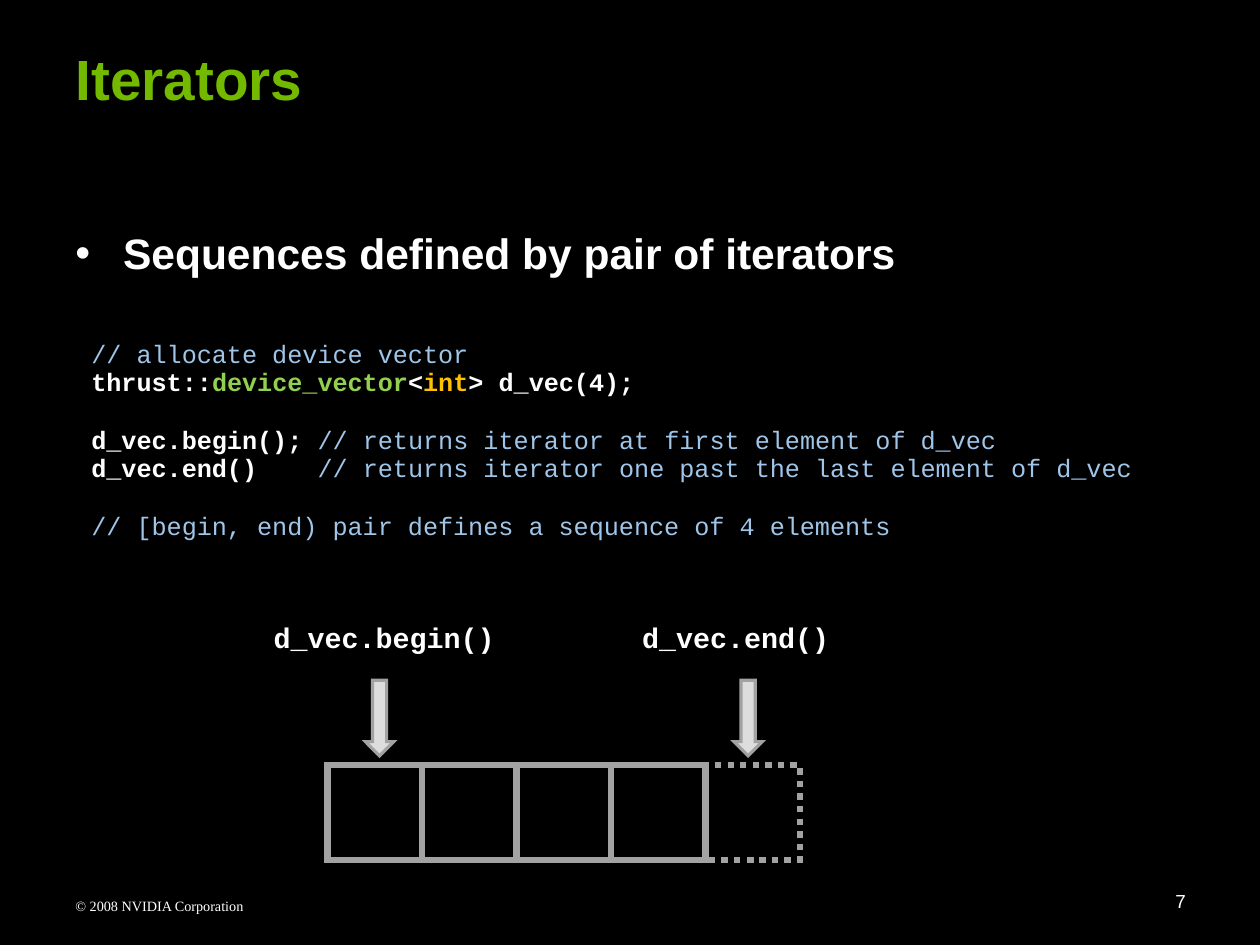
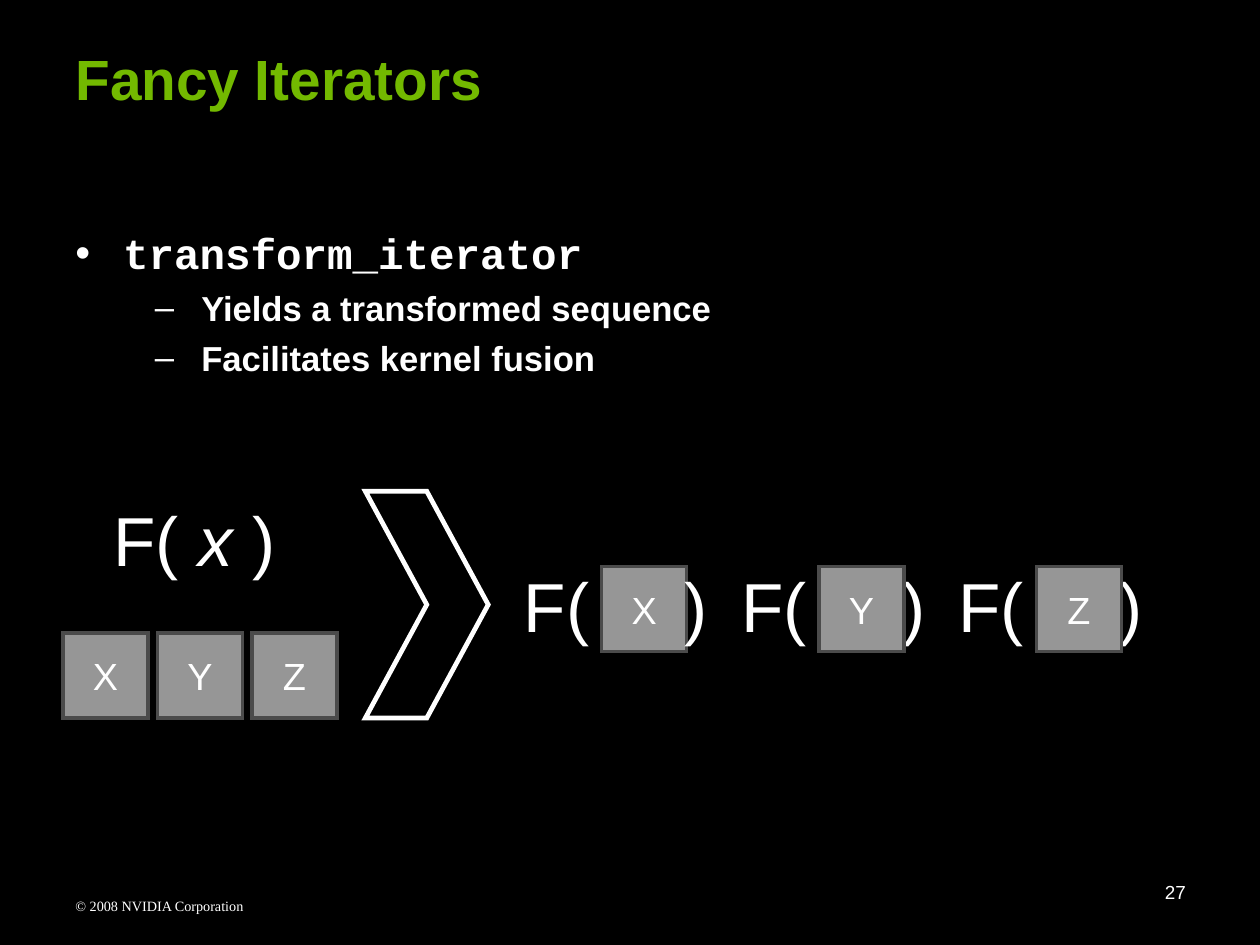
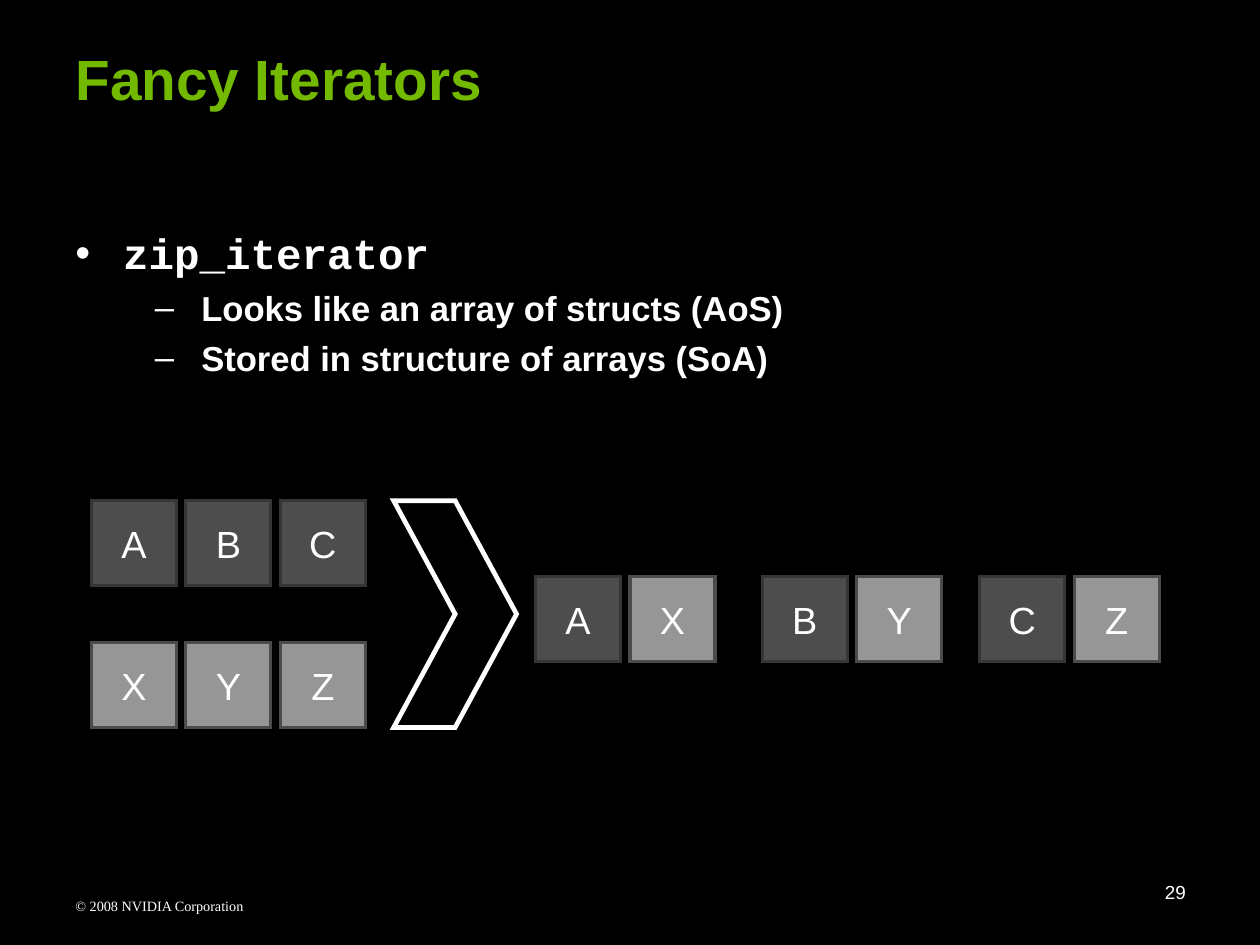
from dataclasses import dataclass
from typing import NamedTuple, Optional

from lxml.etree import SubElement
from pptx import Presentation
from pptx.dml.color import RGBColor
from pptx.enum.dml import MSO_LINE
from pptx.enum.shapes import MSO_SHAPE
from pptx.enum.text import MSO_ANCHOR, MSO_AUTO_SIZE, PP_ALIGN
from pptx.oxml.ns import qn
from pptx.presentation import Presentation as Deck
from pptx.shapes.autoshape import Shape
from pptx.slide import Slide, SlideLayout
from pptx.text.text import Font, TextFrame, _Paragraph
from pptx.util import Emu, Inches, Length, Pt

SLIDE_W, SLIDE_H = Emu(10160000), Emu(7621588)
COLUMNS = 40  # the slide is a grid of square units, 40 across
COLORS = {
    "black": "000000", "white": "FFFFFF", "title": "73B900",
    "comment": "9FC5E8", "type": "92D050", "keyword": "FFC000",
    "cell": "A2A2A2", "arrow": "DDDDDD",
    "light": "969696", "light edge": "4B4B4B",
    "dark": "4D4D4D", "dark edge": "363636",
}
SANS, MONO, SERIF = "Arial", "Courier New", "Times New Roman"

PITCH = 3.0      # from one array element to the next
TILE = 2.7       # side of a lettered tile
CALL_STEP = 6.9  # from one F( ) to the next


class Box(NamedTuple):
    """A rectangle in grid units."""
    left: float
    top: float
    width: float
    height: float


class Span(NamedTuple):
    text: str
    color: str = "white"
    bold: bool = False
    italic: bool = False


class CodeLine(NamedTuple):
    spans: list[Span]
    starts_block: bool = False


class BulletStyle(NamedTuple):
    mark: str
    margin: float
    hanging: float
    size: float
    before: float


@dataclass
class Bullet:
    text: str
    level: int = 0
    face: str = SANS


@dataclass
class Page:
    title: str
    number: str
    bullets: list[Bullet]
    number_anchor: MSO_ANCHOR = MSO_ANCHOR.TOP


BULLET_STYLES = [
    BulletStyle("•", 0.42, 0.42, 27, 6.8),
    BulletStyle("–", 1.11, 0.41, 22, 5.5),
]
CODE = [
    CodeLine([Span("// allocate device vector", "comment")]),
    CodeLine([Span("thrust::", bold=True), Span("device_vector", "type", True),
              Span("<", bold=True), Span("int", "keyword", True),
              Span("> d_vec(4);", bold=True)]),
    CodeLine([Span("d_vec.begin(); ", bold=True),
              Span("// returns iterator at first element of d_vec", "comment")], True),
    CodeLine([Span("d_vec.end()    ", bold=True),
              Span("// returns iterator one past the last element of d_vec", "comment")]),
    CodeLine([Span("// [begin, end) pair defines a sequence of 4 elements", "comment")], True),
]


def units(count: float) -> Length:
    return Emu(round(SLIDE_W * count / COLUMNS))


def rgb(name: str) -> RGBColor:
    return RGBColor.from_string(COLORS[name])


def place(shape: Shape, box: Box) -> None:
    shape.left, shape.top, shape.width, shape.height = map(units, box)


def set_font(font: Font, face: str, size: float, color: str = "white",
             bold: bool = False) -> None:
    font.name, font.size, font.bold = face, Pt(size), bold
    font.color.rgb = rgb(color)


def set_frame(frame: TextFrame, side: float = 0.1, edge: float = 0.05,
              anchor: MSO_ANCHOR = MSO_ANCHOR.TOP) -> None:
    frame.word_wrap = True
    frame.auto_size = MSO_AUTO_SIZE.NONE
    frame.margin_left = frame.margin_right = Inches(side)
    frame.margin_top = frame.margin_bottom = Inches(edge)
    frame.vertical_anchor = anchor


def add_spans(paragraph: _Paragraph, spans: list[Span], face: str, size: float) -> None:
    for span in spans:
        run = paragraph.add_run()
        run.text = span.text
        set_font(run.font, face, size, span.color, span.bold)
        run.font.italic = span.italic


def add_label(slide: Slide, box: Box, text: str, face: str, size: float,
              bold: bool = False, align: PP_ALIGN = PP_ALIGN.LEFT) -> Shape:
    label = slide.shapes.add_textbox(*map(units, box))
    set_frame(label.text_frame)
    paragraph = label.text_frame.paragraphs[0]
    paragraph.text, paragraph.alignment = text, align
    set_font(paragraph.font, face, size, bold=bold)
    return label


def add_figure(slide: Slide, preset: MSO_SHAPE, box: Box, fill: Optional[str],
               line: str, weight: float, dash: Optional[MSO_LINE] = None) -> Shape:
    figure = slide.shapes.add_shape(preset, *map(units, box))
    figure.shadow.inherit = False
    if fill:
        figure.fill.solid()
        figure.fill.fore_color.rgb = rgb(fill)
    else:
        figure.fill.background()
    figure.line.color.rgb = rgb(line)
    figure.line.width = Pt(weight)
    if dash:
        figure.line.dash_style = dash
    outline = figure.element.spPr.find(qn("a:ln"))
    SubElement(outline, qn("a:miter")).set("lim", "800000")
    return figure


def add_tile(slide: Slide, left: float, top: float, letter: str, shade: str) -> None:
    tile = add_figure(slide, MSO_SHAPE.RECTANGLE, Box(left, top, TILE, TILE),
                      shade, f"{shade} edge", 2)
    set_frame(tile.text_frame, anchor=MSO_ANCHOR.MIDDLE)
    paragraph = tile.text_frame.paragraphs[0]
    paragraph.text, paragraph.alignment = letter, PP_ALIGN.CENTER
    set_font(paragraph.font, SANS, 24)


def add_tile_row(slide: Slide, left: float, top: float, letters: str, shade: str) -> None:
    for index, letter in enumerate(letters):
        add_tile(slide, left + index * PITCH, top, letter, shade)


def add_chevron(slide: Slide, left: float, top: float) -> None:
    add_figure(slide, MSO_SHAPE.CHEVRON, Box(left, top, 3.9, 7.2), "black", "white", 3)


def set_bullet(paragraph: _Paragraph, style: BulletStyle) -> None:
    properties = paragraph._p.get_or_add_pPr()
    properties.set("marL", str(Inches(style.margin)))
    properties.set("indent", str(-Inches(style.hanging)))
    color = SubElement(properties, qn("a:buClr"))
    SubElement(color, qn("a:srgbClr")).set("val", COLORS["white"])
    SubElement(properties, qn("a:buFont")).set("typeface", SANS)
    SubElement(properties, qn("a:buChar")).set("char", style.mark)


def fill_body(frame: TextFrame, bullets: list[Bullet]) -> None:
    set_frame(frame, 0.11, 0.06)
    for index, bullet in enumerate(bullets):
        paragraph = frame.add_paragraph() if index else frame.paragraphs[0]
        style = BULLET_STYLES[bullet.level]
        paragraph.text, paragraph.level = bullet.text, bullet.level
        set_bullet(paragraph, style)
        paragraph.space_before = Pt(style.before if index else 0)
        set_font(paragraph.font, bullet.face, style.size, bold=True)


def start_slide(deck: Deck, layout: SlideLayout, page: Page) -> Slide:
    """Add a slide with its title, bullets and page number."""
    slide = deck.slides.add_slide(layout)
    title, body = slide.placeholders
    place(title, Box(2, 1.17, 32.3, 2.6))
    set_frame(title.text_frame, 0.11, 0.06)
    heading = title.text_frame.paragraphs[0]
    heading.text, heading.alignment = page.title, PP_ALIGN.LEFT
    set_font(heading.font, SANS, 36, "title", True)
    place(body, Box(2, 7, 36, 20.65))
    fill_body(body.text_frame, page.bullets)
    number = add_label(slide, Box(28.65, 27.8, 9.35, 1.6), page.number, SANS, 12,
                       align=PP_ALIGN.RIGHT)
    number.text_frame.vertical_anchor = page.number_anchor
    return slide


def move_copyright_to_layout(slide: Slide, layout: SlideLayout) -> None:
    """Write the copyright line once, on the layout that all slides share."""
    line = add_label(slide, Box(2, 28.28, 9, 0.95), "© 2008 NVIDIA Corporation", SERIF, 9)
    set_frame(line.text_frame, 0.11, 0.06)
    layout.shapes.element.append(line.element)


def add_code(slide: Slide) -> None:
    listing = slide.shapes.add_textbox(*map(units, Box(2.9, 10.8, 33.6, 6.4)))
    frame = listing.text_frame
    set_frame(frame, 0, 0)
    for index, line in enumerate(CODE):
        paragraph = frame.add_paragraph() if index else frame.paragraphs[0]
        paragraph.line_spacing = 0.95
        if line.starts_block:
            paragraph.space_before = Pt(18.2)
        add_spans(paragraph, line.spans, MONO, 16)


def add_vector(slide: Slide) -> None:
    """Four elements, the dotted place past them, and both iterators."""
    elements = 4
    for index in range(elements + 1):
        add_figure(slide, MSO_SHAPE.RECTANGLE,
                   Box(10.4 + index * PITCH, 24.3, PITCH, PITCH), None, "cell", 4,
                   MSO_LINE.ROUND_DOT if index == elements else None)
    for name, offset, width in (("d_vec.begin()", 0, 7.75), ("d_vec.end()", 11.7, 6.65)):
        add_figure(slide, MSO_SHAPE.DOWN_ARROW, Box(11.6 + offset, 21.6, 0.9, 2.4),
                   "arrow", "cell", 2)
        label = add_label(slide, Box(8.33 + offset, 19.52, width, 1.45), name, MONO, 18, True)
        label.text_frame.word_wrap = False


def add_call(slide: Slide, left: float) -> None:
    """Write F( ) with room for a tile between the brackets."""
    call = add_label(slide, Box(left, 17.7, 8.1, 3), "", SANS, 44)
    call.text_frame.margin_left = Inches(0.23)
    paragraph = call.text_frame.paragraphs[0]
    properties = paragraph._p.get_or_add_pPr()
    properties.remove_all("a:defRPr")
    stop = SubElement(SubElement(properties, qn("a:tabLst")), qn("a:tab"))
    stop.set("pos", str(Inches(1.42)))
    stop.set("algn", "l")
    add_spans(paragraph, [Span("F(\t)")], SANS, 44)


def add_transform(slide: Slide) -> None:
    function = add_label(slide, Box(2.27, 15.6, 7.8, 3), "", SANS, 44,
                         align=PP_ALIGN.CENTER)
    add_spans(function.text_frame.paragraphs[0],
              [Span("F( "), Span("x", italic=True), Span(" )")], SANS, 44)
    add_tile_row(slide, 2, 20.1, "XYZ", "light")
    add_chevron(slide, 11.6, 15.6)
    add_tile(slide, 19.1, 18, "X", "light")
    for index in range(3):
        add_call(slide, 15.8 + index * CALL_STEP)
    for index, letter in enumerate("YZ", start=1):
        add_tile(slide, 19.1 + index * CALL_STEP, 18, letter, "light")


def add_zip(slide: Slide) -> None:
    add_tile_row(slide, 2.9, 15.9, "ABC", "dark")
    add_tile_row(slide, 2.9, 20.4, "XYZ", "light")
    add_chevron(slide, 12.5, 15.9)
    for left, first, second in zip((17, 24.2, 31.1), "ABC", "XYZ"):
        add_tile(slide, left, 18.3, first, "dark")
        add_tile(slide, left + PITCH, 18.3, second, "light")


def main() -> None:
    deck = Presentation()
    deck.slide_width, deck.slide_height = SLIDE_W, SLIDE_H
    backdrop = deck.slide_master.background.fill
    backdrop.solid()
    backdrop.fore_color.rgb = rgb("black")
    layout = deck.slide_layouts[1]

    iterators = start_slide(deck, layout, Page(
        "Iterators", "7", [Bullet("Sequences defined by pair of iterators")],
        MSO_ANCHOR.MIDDLE))
    move_copyright_to_layout(iterators, layout)
    add_code(iterators)
    add_vector(iterators)

    add_transform(start_slide(deck, layout, Page("Fancy Iterators", "27", [
        Bullet("transform_iterator", face=MONO),
        Bullet("Yields a transformed sequence", 1),
        Bullet("Facilitates kernel fusion", 1)])))

    add_zip(start_slide(deck, layout, Page("Fancy Iterators", "29", [
        Bullet("zip_iterator", face=MONO),
        Bullet("Looks like an array of structs (AoS)", 1),
        Bullet("Stored in structure of arrays (SoA)", 1)])))

    deck.save("out.pptx")


if __name__ == "__main__":
    main()
